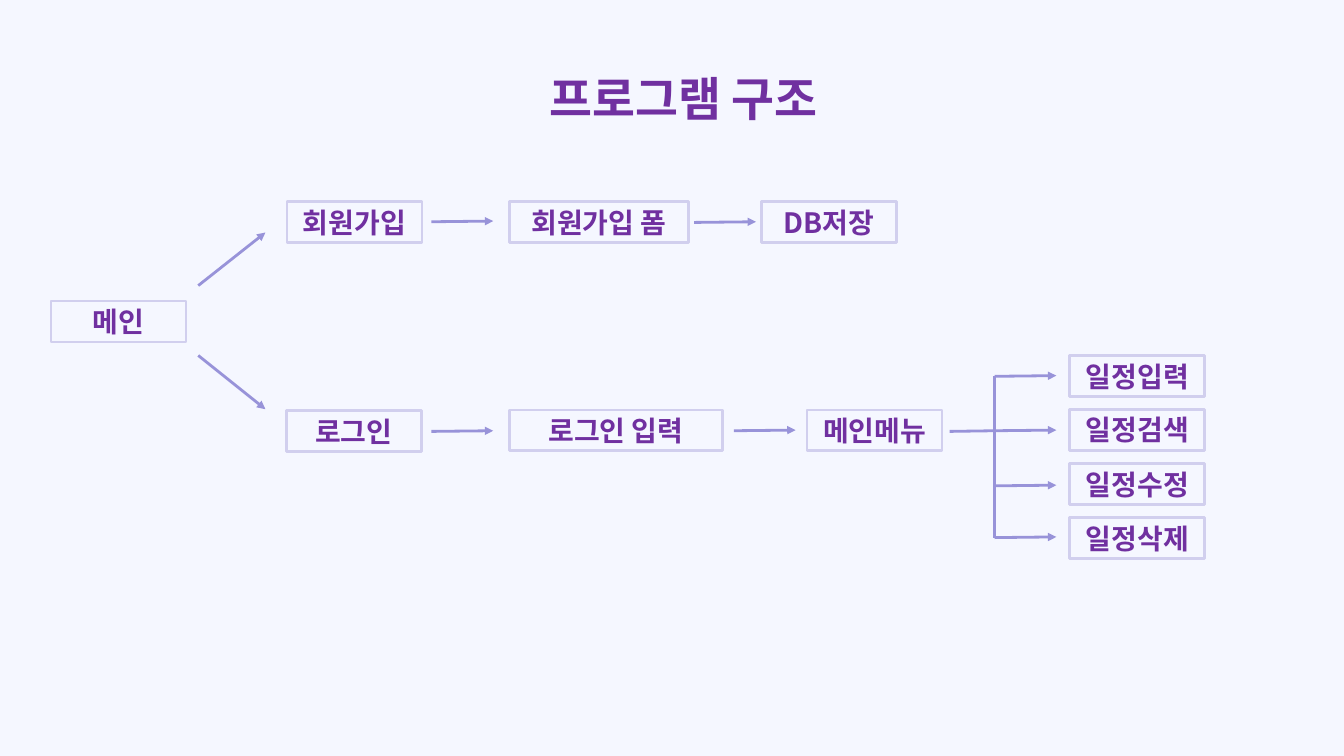
from typing import NamedTuple

from pptx import Presentation
from pptx import util as u
from pptx.dml.color import RGBColor
from pptx.enum import shapes, text
from pptx.oxml.ns import qn
from lxml import etree

PX = 9144  # EMU per px, 100 px to the inch
FONT = "Noto Sans CJK KR"
COLORS = {"background": "F5F7FF", "text": "7030A0", "border": "D1CFEE", "arrow": "9893D9"}
BOX_W, BOX_H = 201, 61
ARROW_W = 92


class Box(NamedTuple):
    label: str
    x: int
    y: int
    w: int = BOX_W


class Line(NamedTuple):
    x1: int
    y1: int
    x2: int
    y2: int
    arrow: bool = True


def px(n: int) -> int:
    return u.Emu(n * PX)


def color(name: str) -> RGBColor:
    return RGBColor.from_string(COLORS[name])


def write(tf, content: str, size: int) -> None:
    tf.text = content
    tf.word_wrap = True
    tf.vertical_anchor = text.MSO_ANCHOR.MIDDLE
    p = tf.paragraphs[0]
    p.alignment = text.PP_ALIGN.CENTER
    r = p.runs[0]
    r.font.size = u.Pt(size)
    r.font.bold = True
    r.font.color.rgb = color("text")
    r.font.name = FONT
    # Hangul takes its typeface from the East Asian slot
    etree.SubElement(r.font._element, qn("a:ea"), typeface=FONT)


def draw_box(s, box: Box) -> None:
    sp = s.shapes.add_shape(shapes.MSO_SHAPE.RECTANGLE,
                            px(box.x), px(box.y), px(box.w), px(BOX_H))
    sp.shadow.inherit = False
    sp.fill.background()
    sp.line.color.rgb = color("border")
    sp.line.width = u.Pt(3)
    tf = sp.text_frame
    tf.margin_top = tf.margin_bottom = 0
    write(tf, box.label, 30)


def draw_line(s, line: Line) -> None:
    c = s.shapes.add_connector(shapes.MSO_CONNECTOR.STRAIGHT,
                               px(line.x1), px(line.y1), px(line.x2), px(line.y2))
    c.line.color.rgb = color("arrow")
    c.line.width = u.Pt(3)
    if line.arrow:
        etree.SubElement(c.line._get_or_add_ln(), qn("a:tailEnd"), type="triangle")
    etree.SubElement(c._element.spPr, qn("a:effectLst"))


SIGNUP_Y, LOGIN_Y = 300, 610
MENU_X, MENU_Y, MENU_STEP = 1592, 529, 80.33
TRUNK_X = 1480
MENU_ITEMS = ["일정입력", "일정검색", "일정수정", "일정삭제"]
BRANCH_YS = [560, 641, 723, 800]

BOXES = [
    Box("메인", 76, 448),
    Box("회원가입", 427, SIGNUP_Y),
    Box("회원가입 폼", 758, SIGNUP_Y, 267),
    Box("DB저장", 1133, SIGNUP_Y),
    Box("로그인", 426, LOGIN_Y + 1),
    Box("로그인 입력", 758, LOGIN_Y, 317),
    Box("메인메뉴", 1201, LOGIN_Y),
] + [Box(label, MENU_X, round(MENU_Y + i * MENU_STEP)) for i, label in enumerate(MENU_ITEMS)]

# Start of each rightward arrow; all of them rise by one px
ARROW_STARTS = [(642, 330), (1033, 331), (642, 642), (1092, 641)]
ARROW_STARTS += [(TRUNK_X, y) for y in BRANCH_YS]

LINES = [
    Line(295, 425, 395, 346),
    Line(295, 529, 395, 609),
    Line(TRUNK_X, BRANCH_YS[0] - 1, TRUNK_X, BRANCH_YS[-1], arrow=False),
    Line(1413, 642, TRUNK_X, 641, arrow=False),
] + [Line(x, y, x + ARROW_W, y - 1) for x, y in ARROW_STARTS]


def main() -> None:
    prs = Presentation()
    prs.slide_width, prs.slide_height = px(2000), px(1125)
    s = prs.slides.add_slide(prs.slide_layouts[6])
    s.background.fill.solid()
    s.background.fill.fore_color.rgb = color("background")

    title = s.shapes.add_textbox(px(442), px(73), px(1150), px(145))
    write(title.text_frame, "프로그램 구조", 50)
    for box in BOXES:
        draw_box(s, box)
    for line in LINES:
        draw_line(s, line)
    prs.save("out.pptx")


if __name__ == "__main__":
    main()
